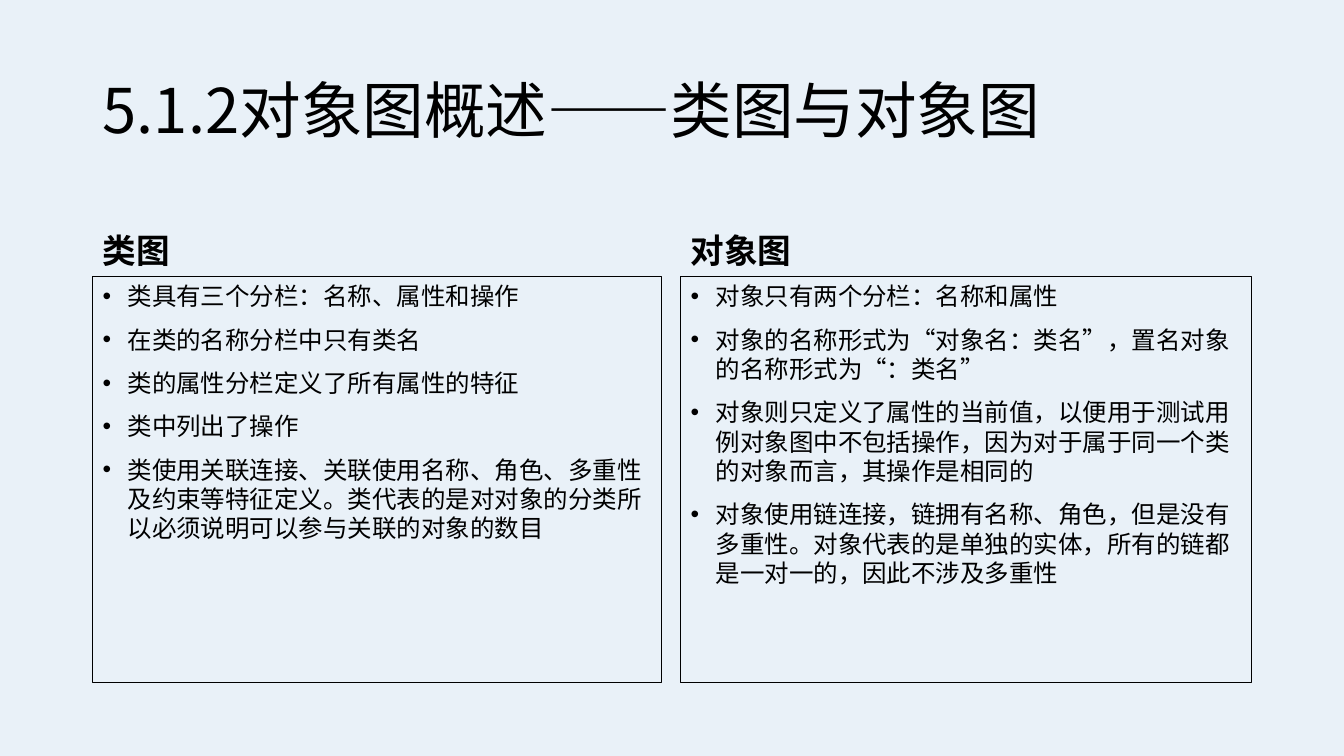
from dataclasses import dataclass

from lxml import etree
from pptx import Presentation
from pptx.dml.color import RGBColor
from pptx.enum.text import MSO_ANCHOR, MSO_AUTO_SIZE, PP_ALIGN
from pptx.oxml.ns import qn
from pptx.util import Cm, Pt

LEFT = PP_ALIGN.LEFT
TOP, MIDDLE, BOTTOM = MSO_ANCHOR.TOP, MSO_ANCHOR.MIDDLE, MSO_ANCHOR.BOTTOM
NO_AUTOFIT = MSO_AUTO_SIZE.NONE
COMPARISON_LAYOUT = 4


@dataclass(frozen=True)
class Theme:
    font: str = "Noto Sans CJK SC"
    background: RGBColor = RGBColor(0xE9, 0xF1, 0xF8)
    ink: RGBColor = RGBColor(0, 0, 0)
    title_size: float = 44
    heading_size: float = 24
    list_size: float = 17.5
    border_width: float = 0.75


@dataclass(frozen=True)
class TextStyle:
    size: float
    anchor: MSO_ANCHOR
    line_spacing: float
    bold: bool = False
    bulleted: bool = False


@dataclass(frozen=True)
class Column:
    heading_idx: int
    list_idx: int
    left: float
    width: float
    heading: str
    points: tuple[str, ...]


THEME = Theme()
TITLE = TextStyle(THEME.title_size, MIDDLE, 0.9)
HEADING = TextStyle(THEME.heading_size, BOTTOM, 0.9, bold=True)
LIST = TextStyle(THEME.list_size, TOP, 1.0, bulleted=True)

PARAGRAPH_GAP = Pt(10)
BULLET_INDENT = Cm(0.63)
MARGIN_LEFT = 2.33
TITLE_TOP, TITLE_WIDTH, TITLE_HEIGHT = 1.02, 29.21, 3.68
HEADING_TOP, HEADING_HEIGHT = 4.67, 2.29
LIST_TOP, LIST_HEIGHT = HEADING_TOP + HEADING_HEIGHT, 10.24

COLUMNS = (
    Column(1, 2, MARGIN_LEFT, 14.33, "类图", (
        "类具有三个分栏：名称、属性和操作",
        "在类的名称分栏中只有类名",
        "类的属性分栏定义了所有属性的特征",
        "类中列出了操作",
        "类使用关联连接、关联使用名称、角色、多重性及约束等特征定义。"
        "类代表的是对对象的分类所以必须说明可以参与关联的对象的数目",
    )),
    Column(3, 4, 17.15, 14.4, "对象图", (
        "对象只有两个分栏：名称和属性",
        "对象的名称形式为“对象名：类名”，置名对象的名称形式为“：类名”",
        "对象则只定义了属性的当前值，以便用于测试用例对象图中不包括操作，"
        "因为对于属于同一个类的对象而言，其操作是相同的",
        "对象使用链连接，链拥有名称、角色，但是没有多重性。"
        "对象代表的是单独的实体，所有的链都是一对一的，因此不涉及多重性",
    )),
)


def apply_format(target: object, values: dict[str, object]) -> None:
    for name, value in values.items():
        setattr(target, name, value)


def add_bullet(paragraph) -> None:
    properties = paragraph._p.get_or_add_pPr()
    properties.set("marL", str(BULLET_INDENT))
    properties.set("indent", str(-BULLET_INDENT))
    etree.SubElement(properties, qn("a:buFont"), typeface="Arial")
    etree.SubElement(properties, qn("a:buChar"), char="•")


def fill_placeholder(placeholder, box: tuple[float, float, float, float],
                     lines: tuple[str, ...], style: TextStyle) -> None:
    """Move a placeholder to box (in cm) and write one paragraph per line."""
    left, top, width, height = map(Cm, box)
    apply_format(placeholder, {"left": left, "top": top, "width": width, "height": height})
    frame = placeholder.text_frame
    apply_format(frame, {"word_wrap": True, "auto_size": NO_AUTOFIT,
                         "vertical_anchor": style.anchor})
    for number, line in enumerate(lines):
        paragraph = frame.add_paragraph() if number else frame.paragraphs[0]
        if style.bulleted:
            add_bullet(paragraph)
        apply_format(paragraph, {"alignment": LEFT, "line_spacing": style.line_spacing,
                                 "space_before": PARAGRAPH_GAP if number else Pt(0)})
        run = paragraph.add_run()
        run.text = line
        run.font.color.rgb = THEME.ink
        apply_format(run.font, {"name": THEME.font, "size": Pt(style.size),
                                "bold": style.bold})
        etree.SubElement(run._r.get_or_add_rPr(), qn("a:ea"), typeface=THEME.font)


def draw_column(slide, column: Column) -> None:
    placeholders = {item.placeholder_format.idx: item for item in slide.placeholders}
    fill_placeholder(placeholders[column.heading_idx],
                     (column.left, HEADING_TOP, column.width, HEADING_HEIGHT),
                     (column.heading,), HEADING)
    point_list = placeholders[column.list_idx]
    fill_placeholder(point_list, (column.left, LIST_TOP, column.width, LIST_HEIGHT),
                     column.points, LIST)
    point_list.line.color.rgb = THEME.ink
    point_list.line.width = Pt(THEME.border_width)


def main() -> None:
    presentation = Presentation()
    apply_format(presentation, {"slide_width": Cm(33.87), "slide_height": Cm(19.05)})
    slide = presentation.slides.add_slide(presentation.slide_layouts[COMPARISON_LAYOUT])
    slide.background.fill.solid()
    slide.background.fill.fore_color.rgb = THEME.background
    fill_placeholder(slide.shapes.title,
                     (MARGIN_LEFT, TITLE_TOP, TITLE_WIDTH, TITLE_HEIGHT),
                     ("5.1.2对象图概述——类图与对象图",), TITLE)
    for column in COLUMNS:
        draw_column(slide, column)
    presentation.save("out.pptx")


if __name__ == "__main__":
    main()
